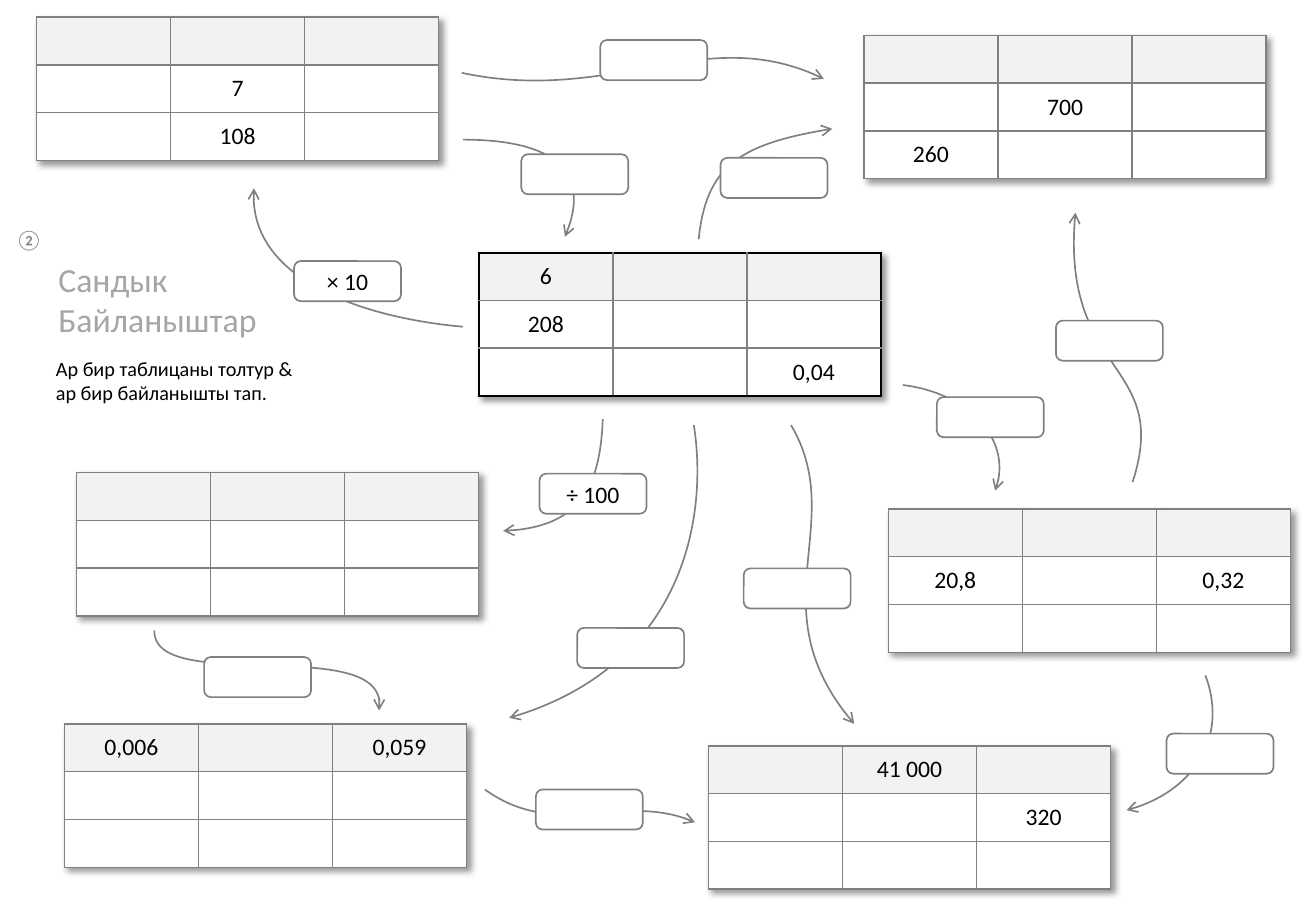
"""Build the number-links worksheet: seven tables joined by labelled curved arrows."""
import dataclasses

import lxml.etree
import pptx
import pptx.dml.color
import pptx.enum.shapes
import pptx.enum.text
import pptx.oxml
import pptx.oxml.ns
import pptx.util

Inches, Pt = pptx.util.Inches, pptx.util.Pt
RGB = pptx.dml.color.RGBColor.from_string
qn = pptx.oxml.ns.qn
Align, Anchor = pptx.enum.text.PP_ALIGN, pptx.enum.text.MSO_ANCHOR
DRAWING = pptx.oxml.ns.nsdecls("a")


@dataclasses.dataclass(frozen=True)
class Theme:
    font: str = "Calibri"
    ink: str = "000000"
    line: str = "808080"
    title: str = "A6A6A6"
    header: str = "F2F2F2"
    paper: str = "FFFFFF"
    title_size: int = 20
    number_size: int = 14
    note_size: int = 12
    thin: float = 1
    thick: float = 1.5


theme = Theme()


def write(frame, text, size=theme.number_size, color=theme.ink, align=Align.LEFT):
    """Fill a text frame with one formatted paragraph per line of text."""
    for index, line in enumerate(text.split("\n")):
        paragraph = frame.paragraphs[0] if index == 0 else frame.add_paragraph()
        properties = paragraph._p.get_or_add_pPr()
        properties.set("marL", "0")
        properties.set("indent", "0")
        lxml.etree.SubElement(properties, qn("a:buNone"))
        paragraph.alignment = align
        paragraph.space_before = Pt(0)
        run = paragraph.add_run()
        run.text = line
        run.font.name, run.font.size = theme.font, Pt(size)
        run.font.color.rgb = RGB(color)


presentation = pptx.Presentation()
presentation.slide_width, presentation.slide_height = Inches(10.83), Inches(7.5)
slide = presentation.slides.add_slide(presentation.slide_layouts[1])

number_box = slide.shapes.add_textbox(0, 0, 0, 0)
texts = [
    (slide.shapes.title, (0.38, 2.08, 1.85, 0.77), "Сандык\nБайланыштар",
     theme.title_size, theme.title),
    (slide.placeholders[1], (0.36, 2.88, 2.24, 0.5),
     "Ар бир таблицаны толтур &\nар бир байланышты тап.", theme.note_size, theme.ink),
    (number_box, (0.03, 1.82, 0.43, 0.3), "②", theme.note_size, theme.line),
]
for shape, place, text, size, color in texts:
    shape.left, shape.top, shape.width, shape.height = map(Inches, place)
    frame = shape.text_frame
    frame.word_wrap = False
    frame.auto_size = pptx.enum.text.MSO_AUTO_SIZE.SHAPE_TO_FIT_TEXT
    frame.vertical_anchor = Anchor.TOP
    write(frame, text, size=size, color=color)

tables = [
    (0.3, 0.14, False, {(1, 1): "7", (2, 1): "108"}),
    (3.94, 2.08, True, {(0, 0): "6", (1, 0): "208", (2, 2): "0,04"}),
    (7.11, 0.29, False, {(1, 1): "700", (2, 0): "260"}),
    (7.31, 4.19, False, {(1, 0): "20,8", (1, 2): "0,32"}),
    (5.83, 6.14, False, {(0, 1): "41 000", (1, 2): "320"}),
    (0.53, 5.96, False, {(0, 0): "0,006", (0, 2): "0,059"}),
    (0.63, 3.89, False, {}),
]
for left, top, framed, numbers in tables:
    table = slide.shapes.add_table(
        3, 3, Inches(left), Inches(top), Inches(3.31), Inches(1.18)).table
    table.first_row = table.horz_banding = False
    table._tbl.tblPr.insert(0, pptx.oxml.parse_xml(
        f'<a:effectLst {DRAWING}><a:outerShdw blurRad="50800" dist="38100" dir="2700000" '
        f'algn="tl" rotWithShape="0"><a:srgbClr val="{theme.ink}"><a:alpha val="40000"/>'
        '</a:srgbClr></a:outerShdw></a:effectLst>'))
    for row in range(3):
        for column in range(3):
            cell = table.cell(row, column)
            cell.margin_left = cell.margin_right = cell.margin_top = cell.margin_bottom = 0
            cell.vertical_anchor = Anchor.MIDDLE
            edges = {"L": column == 0, "R": column == 2, "T": row == 0, "B": row == 2}
            for side, outer in edges.items():
                bold = framed and outer
                width = Pt(theme.thick if bold else theme.thin)
                color = theme.ink if bold else theme.line
                cell._tc.get_or_add_tcPr().append(pptx.oxml.parse_xml(
                    f'<a:ln{side} {DRAWING} w="{width}"><a:solidFill>'
                    f'<a:srgbClr val="{color}"/></a:solidFill></a:ln{side}>'))
            cell.fill.solid()
            cell.fill.fore_color.rgb = RGB(theme.paper if row else theme.header)
            if (row, column) in numbers:
                write(cell.text_frame, numbers[row, column], align=Align.CENTER)

arrows = [
    [(3.8, 0.6), (5.02, 0.86), (5.81, 0.17), (6.78, 0.65)],
    [(5.75, 1.97), (5.81, 1.38), (6.1, 1.18), (6.85, 1.06)],
    [(9.32, 3.97), (9.64, 2.99), (8.72, 3.11), (8.85, 1.75)],
    [(7.43, 3.17), (7.93, 3.23), (8.35, 3.62), (8.19, 4.04)],
    [(3.81, 2.69), (3.02, 2.62), (2.03, 2.3), (2.09, 1.55)],
    [(9.92, 5.56), (10.11, 6.07), (9.79, 6.54), (9.27, 6.67)],
    [(5.71, 3.5), (5.82, 4.19), (5.67, 5.48), (4.19, 5.91)],
    [(1.27, 5.19), (1.25, 5.71), (3.23, 5.2), (3.12, 5.85)],
    [(4.96, 3.45), (4.94, 4), (4.76, 4.35), (4.14, 4.37)],
    [(6.51, 3.5), (6.98, 4.3), (6.21, 5.01), (7.03, 5.96)],
    [(3.99, 6.5), (4.56, 6.91), (5.13, 6.51), (5.72, 6.77)],
    [(3.81, 1.15), (4.3, 1.15), (4.94, 1.27), (4.65, 1.95)],
]
STEPS = 24
for controls in arrows:
    points = [(Inches(x), Inches(y)) for x, y in controls]
    samples = []
    for step in range(STEPS + 1):
        t = step / STEPS
        weights = ((1 - t) ** 3, 3 * t * (1 - t) ** 2, 3 * t ** 2 * (1 - t), t ** 3)
        samples.append(tuple(
            round(sum(weight * point[axis] for weight, point in zip(weights, points)))
            for axis in (0, 1)))
    builder = slide.shapes.build_freeform(*samples[0])
    builder.add_line_segments(samples[1:], close=False)
    arrow = builder.convert_to_shape()
    outline = next(arrow._element.iter(qn("a:path")))
    for segment in outline.findall(qn("a:lnTo")):
        outline.remove(segment)
    curve = lxml.etree.SubElement(outline, qn("a:cubicBezTo"))
    for x, y in points[1:]:
        lxml.etree.SubElement(
            curve, qn("a:pt"), x=str(x - arrow.left), y=str(y - arrow.top))
    arrow.shadow.inherit = False
    arrow.fill.background()
    arrow.line.color.rgb = RGB(theme.line)
    arrow.line.width = Pt(theme.thin)
    lxml.etree.SubElement(arrow.line._get_or_add_ln(), qn("a:tailEnd"), type="arrow")

labels = [
    (2.42, 2.15, "× 10"), (4.94, 0.33, ""), (5.93, 1.3, ""), (8.69, 2.64, ""),
    (7.71, 3.27, ""), (4.44, 3.9, "÷ 100"), (4.75, 5.17, ""), (6.12, 4.68, ""),
    (9.6, 6.04, ""), (1.68, 5.41, ""), (4.41, 6.5, ""), (4.29, 1.27, ""),
]
for left, top, text in labels:
    label = slide.shapes.add_shape(
        pptx.enum.shapes.MSO_SHAPE.ROUNDED_RECTANGLE,
        Inches(left), Inches(top), Inches(0.88), Inches(0.33))
    label.shadow.inherit = False
    label.fill.solid()
    label.fill.fore_color.rgb = RGB(theme.paper)
    label.line.color.rgb = RGB(theme.line)
    label.line.width = Pt(theme.thin)
    if text:
        label.text_frame.margin_left = label.text_frame.margin_right = 0
        label.text_frame.vertical_anchor = Anchor.MIDDLE
        write(label.text_frame, text, align=Align.CENTER)

presentation.save("out.pptx")
